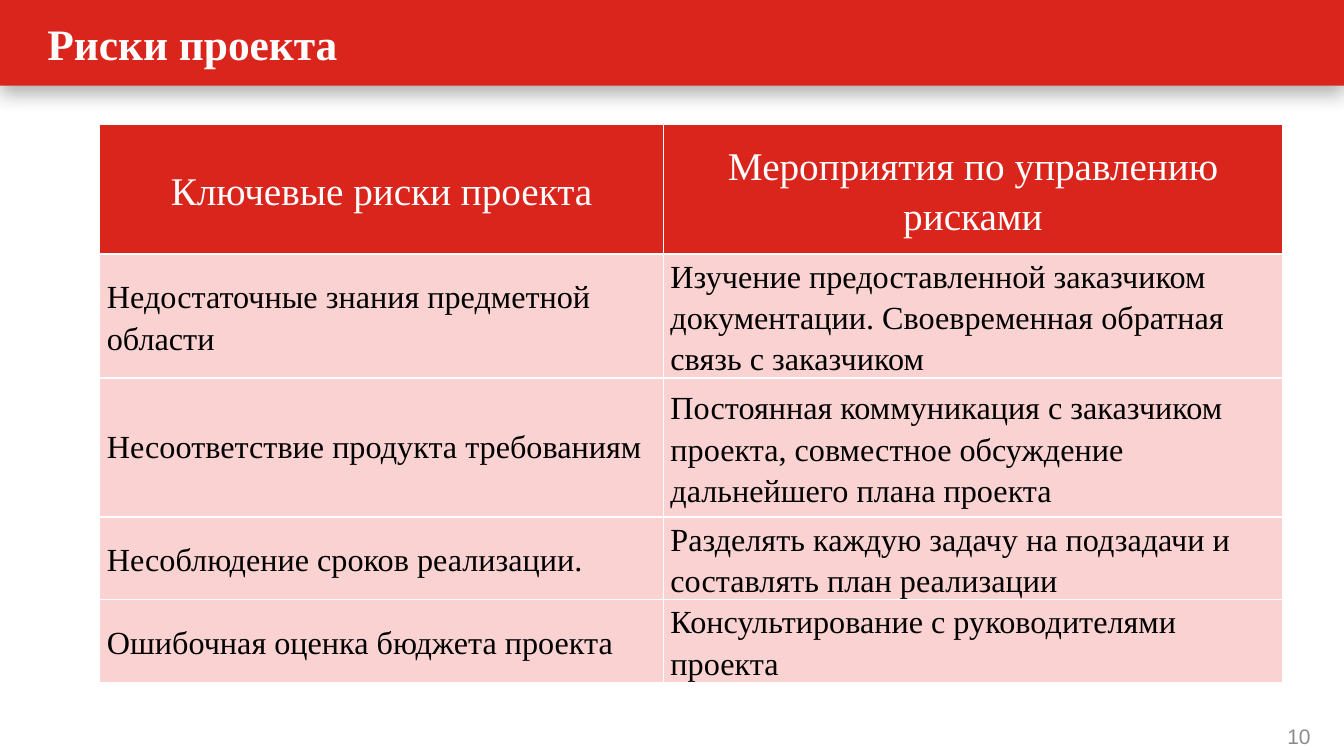
"""Builds the slide on project risks and the measures that manage them."""
import lxml.etree
import pptx
import pptx.dml.color
import pptx.enum.shapes
import pptx.enum.text
import pptx.oxml
import pptx.oxml.ns
import pptx.util

PX = 9144
RED = pptx.dml.color.RGBColor(0xDA, 0x25, 0x1D)
PINK = pptx.dml.color.RGBColor(0xF9, 0xD2, 0xD1)
WHITE = pptx.dml.color.RGBColor(0xFF, 0xFF, 0xFF)
BLACK = pptx.dml.color.RGBColor(0, 0, 0)
GREY = pptx.dml.color.RGBColor(0x8C, 0x8C, 0x8C)

ALIGN = pptx.enum.text.PP_ALIGN
MIDDLE = pptx.enum.text.MSO_ANCHOR.MIDDLE
SERIF = "Times New Roman"

TITLE_FONT = {"name": SERIF, "size": pptx.util.Pt(31), "bold": True}
NUMBER_FONT = {"name": "Arial", "size": pptx.util.Pt(15), "bold": False}
HEADER_FONT = {"name": SERIF, "size": pptx.util.Pt(28), "bold": False}
BODY_FONT = {"name": SERIF, "size": pptx.util.Pt(23), "bold": False}
FRAME = {
    "word_wrap": True,
    "auto_size": pptx.enum.text.MSO_AUTO_SIZE.NONE,
    "vertical_anchor": MIDDLE,
    "margin_left": 13 * PX,
    "margin_right": 13 * PX,
    "margin_top": 6 * PX,
    "margin_bottom": 6 * PX,
}
CELL = {
    "vertical_anchor": MIDDLE,
    "margin_left": 7 * PX,
    "margin_right": 7 * PX,
    "margin_top": 0,
    "margin_bottom": 0,
}
LOOSE = {"alignment": ALIGN.LEFT, "line_spacing": 1.15}
CENTRED = {**LOOSE, "alignment": ALIGN.CENTER}
JUSTIFIED = {**LOOSE, "alignment": ALIGN.JUSTIFY}
SINGLE = {**LOOSE, "line_spacing": 1.0}

COLUMN_WIDTHS = (559, 614)
HEADER = ("Ключевые риски проекта", "Мероприятия по управлению рисками")
RISKS = (
    (123, LOOSE, "Недостаточные знания предметной области",
     "Изучение предоставленной заказчиком документации. "
     "Своевременная обратная связь с заказчиком"),
    (138, SINGLE, "Несоответствие продукта требованиям",
     "Постоянная коммуникация с заказчиком проекта, "
     "совместное обсуждение дальнейшего плана проекта"),
    (82, JUSTIFIED, "Несоблюдение сроков реализации.",
     "Разделять каждую задачу на подзадачи и составлять план реализации"),
    (82, JUSTIFIED, "Ошибочная оценка бюджета проекта",
     "Консультирование с руководителями проекта"),
)


def apply_format(target, values):
    """Set every attribute named in the format values."""
    for name, value in values.items():
        setattr(target, name, value)


def write_text(frame, text, font, color, paragraph_format):
    """Fill a text frame with one formatted paragraph."""
    paragraph = frame.paragraphs[0]
    apply_format(paragraph, paragraph_format)
    run = paragraph.add_run()
    run.text = text
    apply_format(run.font, font)
    run.font.color.rgb = color


def add_band(slide):
    """Draw the red title band with its soft shadow below."""
    band = slide.shapes.add_shape(
        pptx.enum.shapes.MSO_SHAPE.RECTANGLE, 0, 0, 1333 * PX, 85 * PX)
    band.fill.solid()
    band.fill.fore_color.rgb = RED
    band.line.fill.background()
    band.shadow.inherit = False
    effects = band._element.spPr.find(pptx.oxml.ns.qn("a:effectLst"))
    effects.append(pptx.oxml.parse_xml(
        f'<a:outerShdw {pptx.oxml.ns.nsdecls("a")} blurRad="{pptx.util.Pt(14)}" '
        f'dist="{pptx.util.Pt(5)}" dir="5400000" algn="t" rotWithShape="0">'
        '<a:srgbClr val="000000"><a:alpha val="31000"/></a:srgbClr></a:outerShdw>'))


def add_title(slide, text):
    """Place the title placeholder on top of the band."""
    title = slide.shapes.title
    apply_format(title, {"left": 34 * PX, "top": 0,
                         "width": 1216 * PX, "height": 85 * PX})
    apply_format(title.text_frame, FRAME)
    write_text(title.text_frame, text, TITLE_FONT, WHITE, {"alignment": ALIGN.LEFT})
    slide.shapes._spTree.append(title._element)


def add_page_number(slide, text):
    """Write the page number in the lower right corner."""
    number = slide.shapes.add_textbox(1230 * PX, 710 * PX, 83 * PX, 40 * PX)
    apply_format(number.text_frame, FRAME)
    write_text(number.text_frame, text, NUMBER_FONT, GREY, {"alignment": ALIGN.RIGHT})


def add_borders(cell):
    """Give a cell thin white borders on all sides."""
    properties = cell._tc.get_or_add_tcPr()
    for position, side in enumerate(("lnL", "lnR", "lnT", "lnB")):
        properties.insert(position, pptx.oxml.parse_xml(
            f'<a:{side} {pptx.oxml.ns.nsdecls("a")} w="{pptx.util.Pt(1)}">'
            f'<a:solidFill><a:srgbClr val="{WHITE}"/></a:solidFill></a:{side}>'))


def fill_cell(cell, text, fill, font, color, paragraph_format):
    """Fill, border and write one table cell."""
    apply_format(cell, CELL)
    cell.fill.solid()
    cell.fill.fore_color.rgb = fill
    add_borders(cell)
    write_text(cell.text_frame, text, font, color, paragraph_format)


def add_risk_table(slide):
    """Build the table of risks and measures."""
    heights = [129] + [risk[0] for risk in RISKS]
    table = slide.shapes.add_table(
        len(heights), len(COLUMN_WIDTHS), 99 * PX, 123 * PX,
        sum(COLUMN_WIDTHS) * PX, sum(heights) * PX).table
    for column, width in zip(table.columns, COLUMN_WIDTHS):
        column.width = width * PX
    for row, height in zip(table.rows, heights):
        row.height = height * PX
    for column, text in enumerate(HEADER):
        fill_cell(table.cell(0, column), text, RED, HEADER_FONT, WHITE, CENTRED)
    for row, (_, risk_format, risk, measure) in enumerate(RISKS, start=1):
        fill_cell(table.cell(row, 0), risk, PINK, BODY_FONT, BLACK, risk_format)
        fill_cell(table.cell(row, 1), measure, PINK, BODY_FONT, BLACK, LOOSE)


def main():
    """Assemble and save the slide."""
    deck = pptx.Presentation()
    deck.slide_width = 1333 * PX
    deck.slide_height = 750 * PX
    slide = deck.slides.add_slide(deck.slide_layouts[5])
    add_band(slide)
    add_title(slide, "Риски проекта")
    add_page_number(slide, "10")
    add_risk_table(slide)
    deck.save("out.pptx")


if __name__ == "__main__":
    main()
